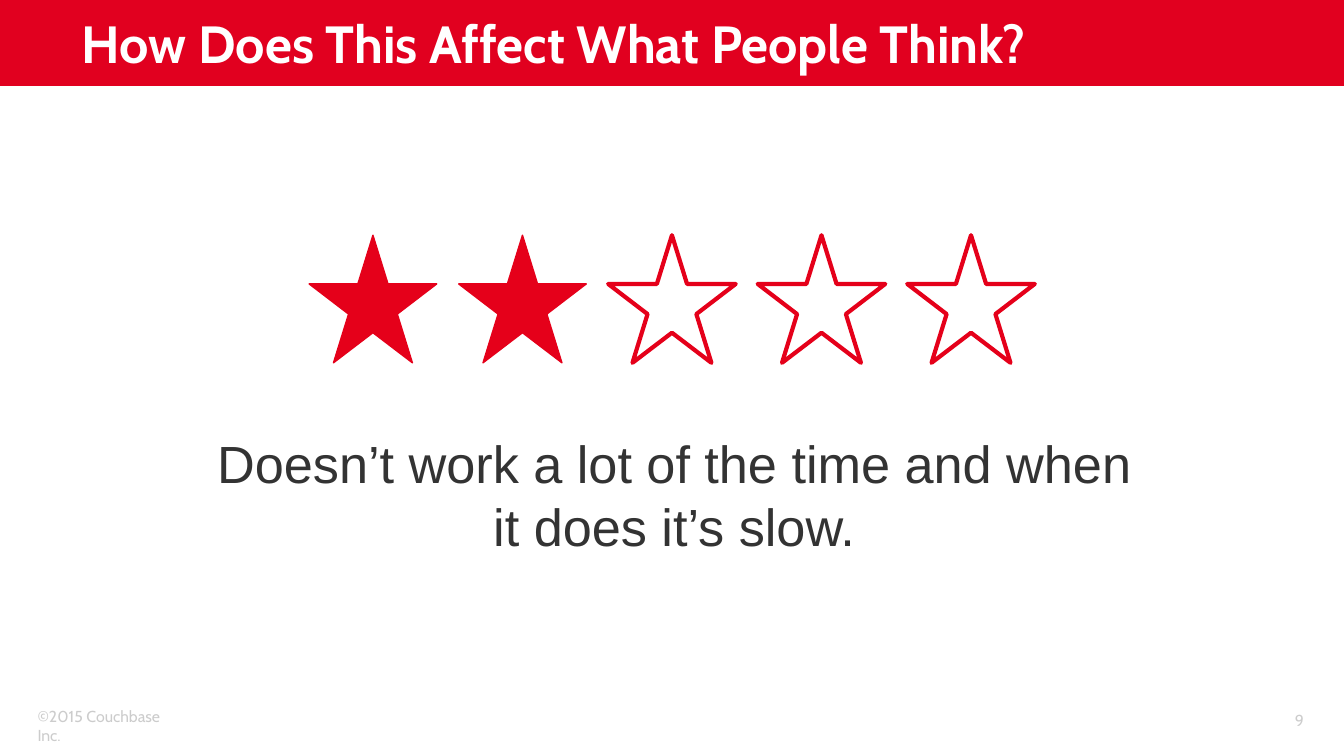
import pptx
import pptx.util
import pptx.dml.color
import pptx.enum.shapes
import pptx.enum.text

Pt = pptx.util.Pt
ALIGN = pptx.enum.text.PP_ALIGN
ANCHOR = pptx.enum.text.MSO_ANCHOR
SHAPE = pptx.enum.shapes.MSO_SHAPE

COLORS = {"band": "E1001F", "star": "E5001A", "title": "FFFFFF",
          "body": "333333", "footer": "CCCCCC"}

TITLE = "How Does This Affect What People Think?"
REVIEW = "Doesn’t work a lot of the time and when it does it’s slow."
COPYRIGHT = "©2015 Couchbase Inc."
PAGE = "9"
RATING, STAR_COUNT = 2, 5

SLIDE_WIDTH, SLIDE_HEIGHT = 720, 405
STAR_LEFT, STAR_TOP, STAR_SIZE, STAR_PITCH = 165.6, 126, 68.4, 80.1

FORMATS = {
    "title": {"name": "Cabin", "size": Pt(28), "bold": True},
    "body": {"name": "Arial", "size": Pt(28), "bold": False},
    "footer": {"name": "Cabin", "size": Pt(8.5), "bold": False},
}

TEXTS = [
    (COPYRIGHT, "footer", (13, 375.1, 92.9, 17.3), ALIGN.LEFT, ANCHOR.TOP),
    (PAGE, "footer", (647.3, 375.1, 58.3, 21.6), ALIGN.RIGHT, ANCHOR.MIDDLE),
    (REVIEW, "body", (100.1, 227.5, 522, 74.9), ALIGN.CENTER, ANCHOR.TOP),
]


def rgb(role):
    return pptx.dml.color.RGBColor.from_string(COLORS[role])


def write(box, text, role, align, anchor):
    frame = box.text_frame
    frame.text = text
    frame_format = {"word_wrap": True, "vertical_anchor": anchor,
                    "auto_size": pptx.enum.text.MSO_AUTO_SIZE.NONE,
                    "margin_left": Pt(7.2), "margin_right": Pt(7.2),
                    "margin_top": Pt(3.6), "margin_bottom": Pt(3.6)}
    for key, value in frame_format.items():
        setattr(frame, key, value)
    paragraph = frame.paragraphs[0]
    paragraph.alignment = align
    font = paragraph.runs[0].font
    for key, value in FORMATS[role].items():
        setattr(font, key, value)
    font.color.rgb = rgb(role)
    return paragraph


def add_shape(slide, kind, place, role, filled=True, line_width=0):
    shape = slide.shapes.add_shape(kind, *map(Pt, place))
    shape.shadow.inherit = False
    if filled:
        shape.fill.solid()
        shape.fill.fore_color.rgb = rgb(role)
    else:
        shape.fill.background()
    if line_width:
        shape.line.color.rgb = rgb(role)
        shape.line.width = Pt(line_width)
    else:
        shape.line.fill.background()
    return shape


def main():
    deck = pptx.Presentation()
    deck.slide_width, deck.slide_height = Pt(SLIDE_WIDTH), Pt(SLIDE_HEIGHT)
    slide = deck.slides.add_slide(deck.slide_layouts[5])

    band = add_shape(slide, SHAPE.RECTANGLE, (0, 0, SLIDE_WIDTH, 46), "band")
    title = slide.shapes.title
    title.element.addprevious(band.element)
    title_place = {"left": 36.7, "top": 0.7, "width": 630, "height": 42.5}
    for key, value in title_place.items():
        setattr(title, key, Pt(value))
    heading = write(title, TITLE, "title", ALIGN.LEFT, ANCHOR.BOTTOM)
    heading.line_spacing = 0.8

    for index in range(STAR_COUNT):
        earned = index < RATING
        place = (STAR_LEFT + index * STAR_PITCH, STAR_TOP, STAR_SIZE, STAR_SIZE)
        add_shape(slide, SHAPE.STAR_5_POINT, place, "star", earned,
                  0.75 if earned else 2.25)

    for text, role, place, align, anchor in TEXTS:
        write(slide.shapes.add_textbox(*map(Pt, place)), text, role, align, anchor)

    deck.save("out.pptx")


if __name__ == "__main__":
    main()
